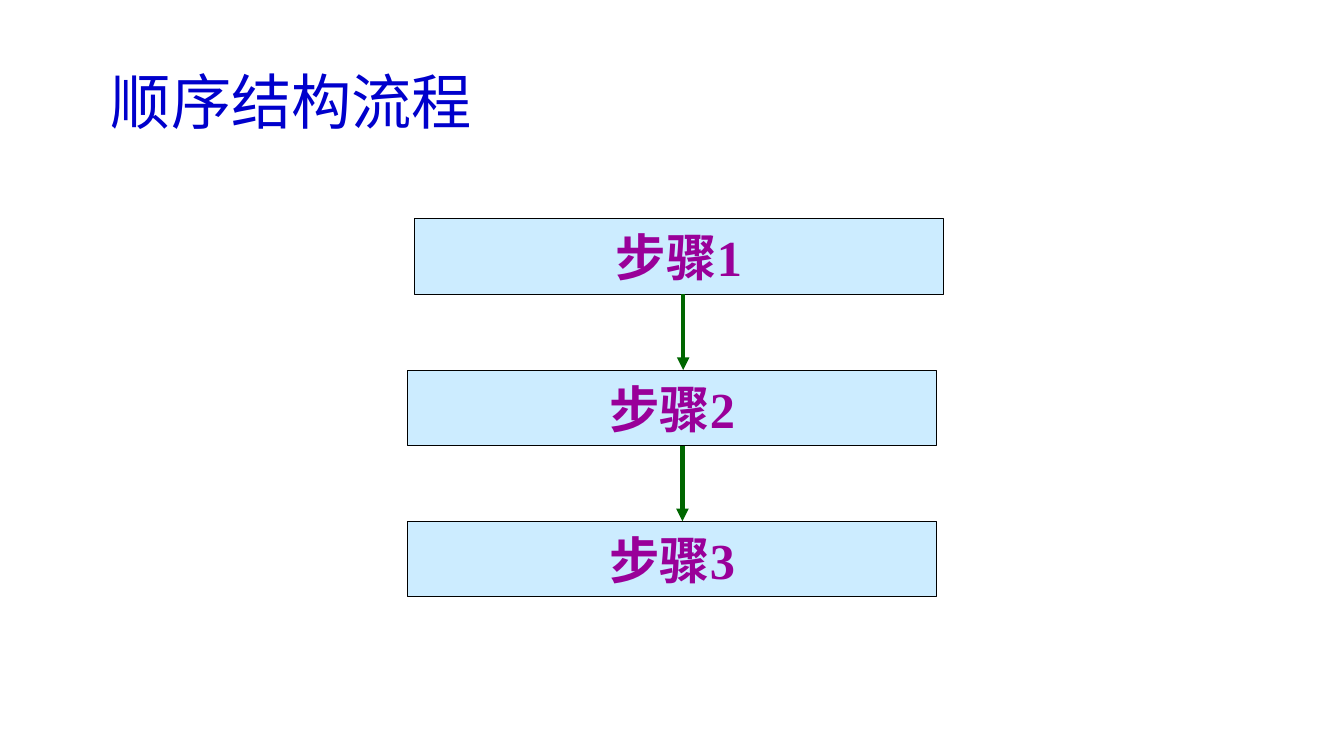
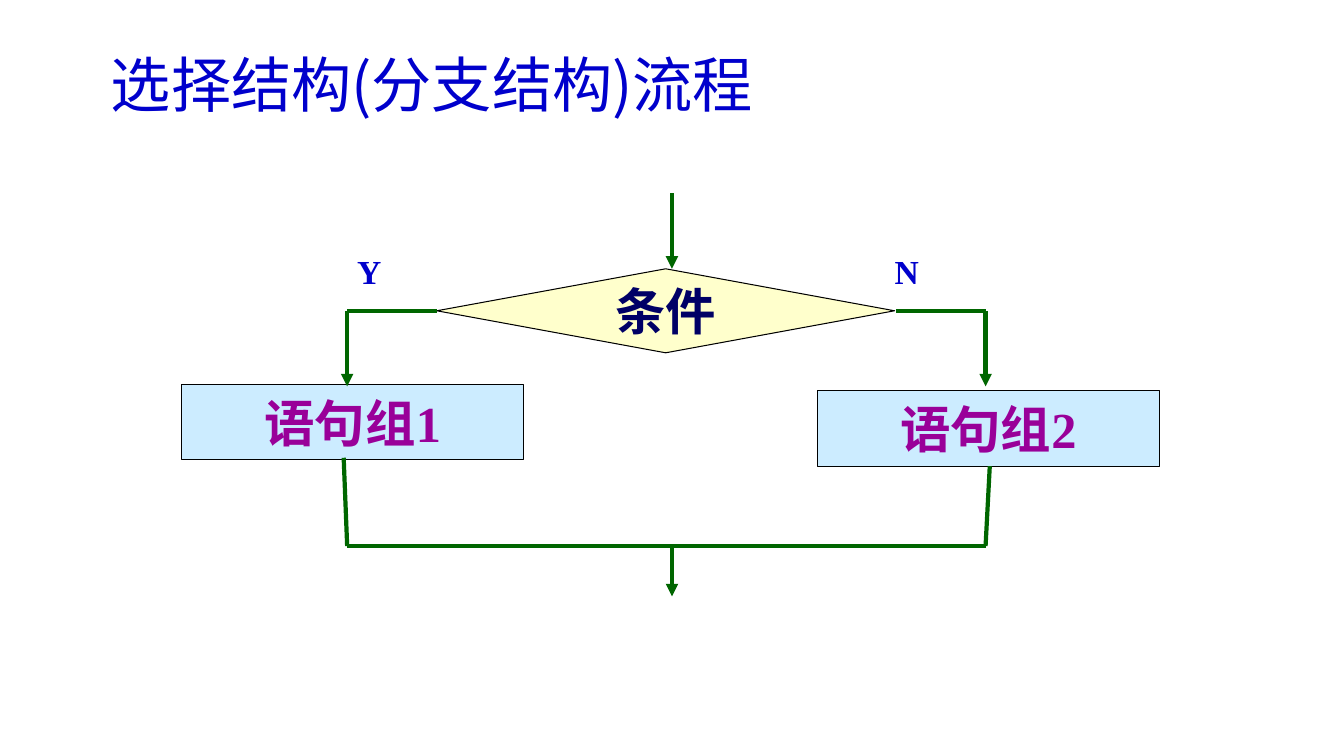
from lxml.etree import SubElement
from pptx import Presentation
from pptx.dml.color import RGBColor
from pptx.enum.shapes import MSO_CONNECTOR, MSO_SHAPE
from pptx.enum.text import MSO_ANCHOR, MSO_AUTO_SIZE, PP_ALIGN
from pptx.oxml.ns import qn
from pptx.util import Pt

rgb = RGBColor.from_string
BLUE, PURPLE, NAVY, GREEN = "0000CC", "990099", "000066", "006600"
PALE_BLUE, PALE_YELLOW = "CCECFF", "FFFFCC"
CJK_FONT, LATIN_FONT = "Noto Sans CJK SC", "Times New Roman"


def put_text(sp, text, size=36, color=PURPLE, font=LATIN_FONT, bold=True,
             align=PP_ALIGN.CENTER, anchor=MSO_ANCHOR.MIDDLE, wrap=False, spacing=1.0):
    tf = sp.text_frame
    tf.word_wrap, tf.vertical_anchor = wrap, anchor
    tf.auto_size = MSO_AUTO_SIZE.NONE
    p = tf.paragraphs[0]
    p.alignment, p.line_spacing = align, spacing
    r = p.add_run()
    r.text = text
    r.font.size, r.font.name, r.font.bold = Pt(size), font, bold
    r.font.color.rgb = rgb(color)
    SubElement(r.font._element, qn("a:ea"), typeface=CJK_FONT)


def add_line(s, x1, y1, x2, y2, arrow=False):
    c = s.shapes.add_connector(MSO_CONNECTOR.STRAIGHT, Pt(x1), Pt(y1), Pt(x2), Pt(y2))
    c.line.width = Pt(3)
    c.line.color.rgb = rgb(GREEN)
    if arrow:
        SubElement(c.line._get_or_add_ln(), qn("a:tailEnd"), type="triangle")
    SubElement(c._element.spPr, qn("a:effectLst"))


prs = Presentation()
prs.slide_width, prs.slide_height = Pt(960), Pt(540)

# Shared flowchart geometry
BOX_H, STEP_W, STEP_PITCH, STEP_TOP = 54, 378, 108, 156.3
MID, LEFT, RIGHT = 480, 248, 704
BRANCH_Y, JOIN_Y = 222, 390
RECT, DIAMOND = MSO_SHAPE.RECTANGLE, MSO_SHAPE.FLOWCHART_DECISION

# Sequence: three steps joined by arrows
step_boxes = [(RECT, f"步骤{i + 1}", x, STEP_TOP + i * STEP_PITCH, STEP_W, BOX_H)
              for i, x in enumerate((296, 291, 291))]
step_arrows = [(x, STEP_TOP + i * STEP_PITCH + BOX_H, x, STEP_TOP + (i + 1) * STEP_PITCH, True)
               for i, x in enumerate((488, 487.5))]

# Selection: a condition with two branches that meet again
branch_boxes = [
    (RECT, "语句组1", 130, 274.5, 244, BOX_H),
    (RECT, "语句组2", 584, 279, 244, BOX_H),
    (DIAMOND, "条件", 312, 192, 327, 60),
]
branch_lines = [
    (MID, 138, MID, 192, True),
    (LEFT, BRANCH_Y, 312, BRANCH_Y),
    (LEFT, BRANCH_Y, LEFT, 276, True),
    (640, BRANCH_Y, RIGHT, BRANCH_Y),
    (RIGHT, BRANCH_Y, RIGHT, 276, True),
    (LEFT, JOIN_Y, 245.5, 327),
    (RIGHT, JOIN_Y, 707, 333),
    (LEFT, JOIN_Y, RIGHT, JOIN_Y),
    (MID, JOIN_Y, MID, 426, True),
]

# Title, title top and width, boxes, lines, branch labels
charts = [
    ("顺序结构流程", 30, 827, step_boxes, step_arrows, []),
    ("选择结构(分支结构)流程", 18, 816, branch_boxes, branch_lines, [("Y", 248), ("N", 632)]),
]

for title, title_top, title_w, boxes, lines, labels in charts:
    s = prs.slides.add_slide(prs.slide_layouts[5])

    # Title
    sp = s.shapes.title
    sp.left, sp.top, sp.width, sp.height = Pt(72), Pt(title_top), Pt(title_w), Pt(90)
    put_text(sp, title, size=43, color=BLUE, font=CJK_FONT, bold=False,
             align=PP_ALIGN.LEFT, wrap=True, spacing=0.9)

    # Boxes
    for kind, text, x, y, w, h in boxes:
        sp = s.shapes.add_shape(kind, Pt(x), Pt(y), Pt(w), Pt(h))
        sp.shadow.inherit = False
        sp.fill.solid()
        sp.fill.fore_color.rgb = rgb(PALE_YELLOW if kind == DIAMOND else PALE_BLUE)
        sp.line.color.rgb = rgb("000000")
        sp.line.width = Pt(0.75)
        put_text(sp, text, color=NAVY if kind == DIAMOND else PURPLE)

    # Lines and arrows
    for line in lines:
        add_line(s, *line)

    # Branch labels
    for text, x in labels:
        sp = s.shapes.add_textbox(Pt(x), Pt(176), Pt(80), Pt(36))
        put_text(sp, text, size=24, color=BLUE, align=PP_ALIGN.LEFT,
                 anchor=MSO_ANCHOR.TOP, wrap=True)

prs.save("out.pptx")
